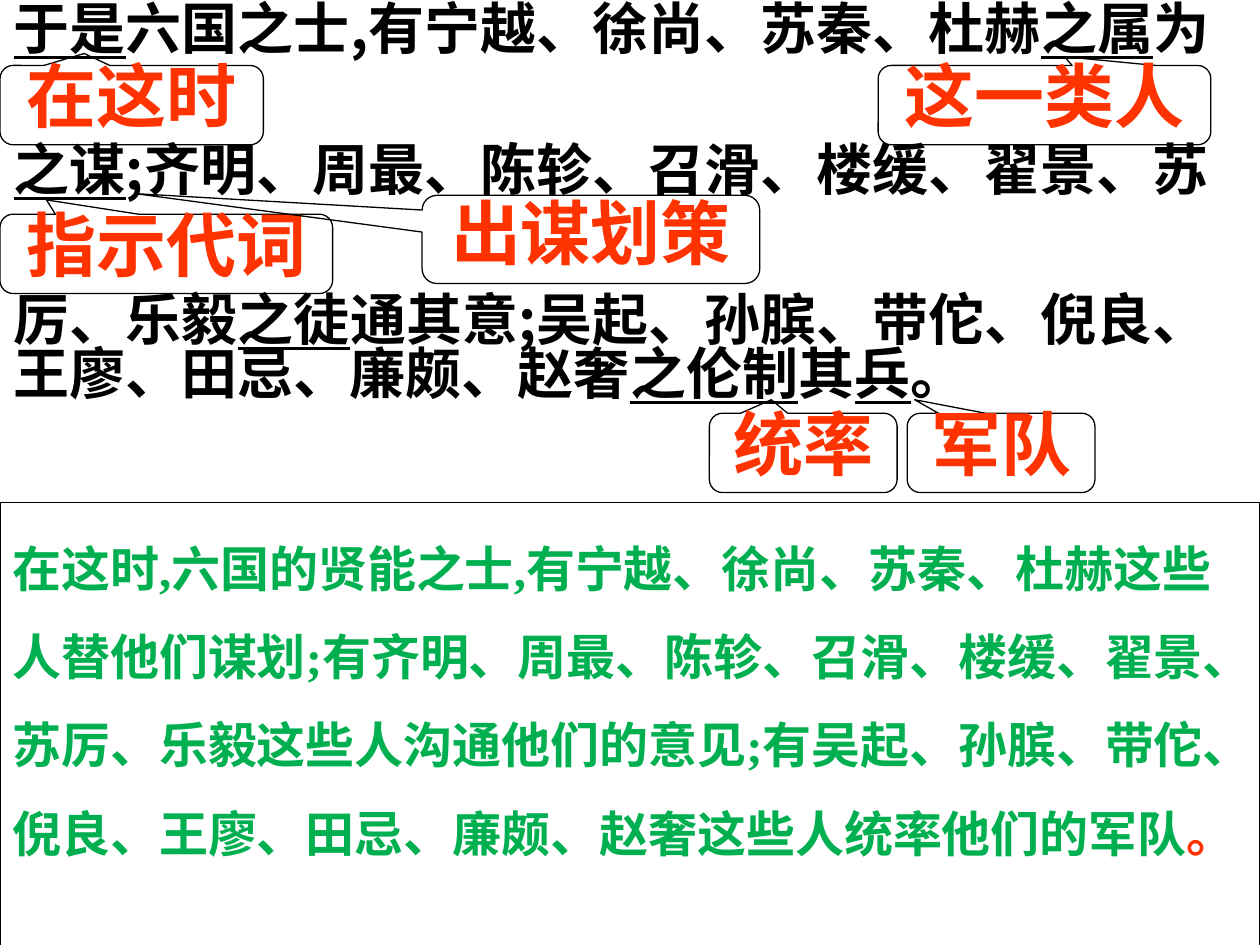
from pptx import Presentation
from pptx.dml.color import RGBColor
from pptx.enum.shapes import MSO_SHAPE
from pptx.enum.text import MSO_ANCHOR, PP_ALIGN
from pptx.util import Inches, Pt

RECT = MSO_SHAPE.RECTANGLE
CALL = MSO_SHAPE.ROUNDED_RECTANGULAR_CALLOUT
TOP = MSO_ANCHOR.TOP
LEFT, MID = PP_ALIGN.LEFT, PP_ALIGN.CENTER
WIDE, HIGH = Inches(10), Inches(7.5)
SANS, SERIF = "Noto Sans CJK JP", "Times New Roman"
BLACK, RED, GREEN = "000000", "FF3300", "00B050"

VERSE = [
    (0, ["", "于是", "六国之士,有宁越、徐尚、苏秦、杜赫", "之属", "为"]),
    (50, ["", "之谋", ";齐明、周最、陈轸、召滑、楼缓、翟景、苏"]),
    (55, ["厉、乐毅", "之徒", "通其意;吴起、孙膑、带佗、倪良、"]),
    (0, ["王廖、田忌、廉颇、赵奢", "之伦制", "其", "兵", "。"]),
]
GLOSS = ("在这时,六国的贤能之士,有宁越、徐尚、苏秦、杜赫这些人替他们谋划;"
         "有齐明、周最、陈轸、召滑、楼缓、翟景、苏厉、乐毅这些人沟通他们的意见;"
         "有吴起、孙膑、带佗、倪良、王廖、田忌、廉颇、赵奢这些人统率他们的军队")
NOTES = [
    ("在这时", (0, 6.93, 20.9, 8.4), (-0.18, -0.65), 0.7),
    ("这一类人", (69.7, 6.93, 26.4, 8.4), (0.06, -0.61), 0.7),
    ("指示代词", (0, 22.67, 26.4, 8.4), (-0.36, -0.68), 0.7),
    ("出谋划策", (33.5, 20.67, 26.8, 9.33), (-1.35, -0.52), 0.8),
    ("统率", (56.3, 43.73, 14.9, 8.4), (-0.17, -0.67), 0.7),
    ("军队", (72, 43.73, 14.9, 8.4), (-0.46, -0.67), 0.7),
]


def color(code):
    """Turn a hex string into a colour."""
    return RGBColor.from_string(code)


def place(left, top, width, height):
    """Turn percentages of the slide into lengths."""
    return [round(part * side / 100) for part, side in
            zip((left, top, width, height), (WIDE, HIGH, WIDE, HIGH))]


def style(para, size, face, code, space, align=LEFT):
    """Set the font, spacing and alignment of a paragraph."""
    para.alignment, para.line_spacing = align, space
    font = para.font
    font.size, font.name, font.bold = Pt(size), face, True
    font.color.rgb = color(code)


def add_verse(slide):
    """Add the classical text with its glossed words underlined."""
    frame = slide.shapes.add_textbox(*place(0.1, 0, 99.9, 43.47)).text_frame
    frame.word_wrap = True
    for row, (gap, parts) in enumerate(VERSE):
        para = frame.add_paragraph() if row else frame.paragraphs[0]
        style(para, 32, SANS, BLACK, 0.8)
        if gap:
            para.space_before = Pt(gap)
        for turn, words in enumerate(parts):
            if words:
                run = para.add_run()
                run.text = words
                run.font.underline = turn % 2 == 1


def add_frame(slide, kind, box):
    """Add an outlined shape without fill and return it."""
    shape = slide.shapes.add_shape(kind, *place(*box))
    shape.shadow.inherit = False
    shape.fill.background()
    shape.line.color.rgb = color(BLACK)
    shape.line.width = Pt(0.75)
    shape.text_frame.word_wrap = True
    shape.text_frame.vertical_anchor = TOP
    return shape


def add_note(slide, words, box, tip, space):
    """Add a callout that explains one word."""
    shape = add_frame(slide, CALL, box)
    shape.adjustments[0], shape.adjustments[1] = tip
    para = shape.text_frame.paragraphs[0]
    para.text = words
    style(para, 40, SERIF, RED, space, MID)


def add_gloss(slide):
    """Add the framed modern translation."""
    shape = add_frame(slide, RECT, (0, 53.2, 100, 48))
    para = shape.text_frame.paragraphs[0]
    para.text = GLOSS
    style(para, 28, SERIF, GREEN, 1.5)
    stop = para.add_run()
    stop.text = "。"
    stop.font.color.rgb = color(RED)


def main():
    """Build and save the slide."""
    deck = Presentation()
    deck.slide_width, deck.slide_height = WIDE, HIGH
    slide = deck.slides.add_slide(deck.slide_layouts[6])
    add_verse(slide)
    for note in NOTES:
        add_note(slide, *note)
    add_gloss(slide)
    deck.save("out.pptx")


if __name__ == "__main__":
    main()
